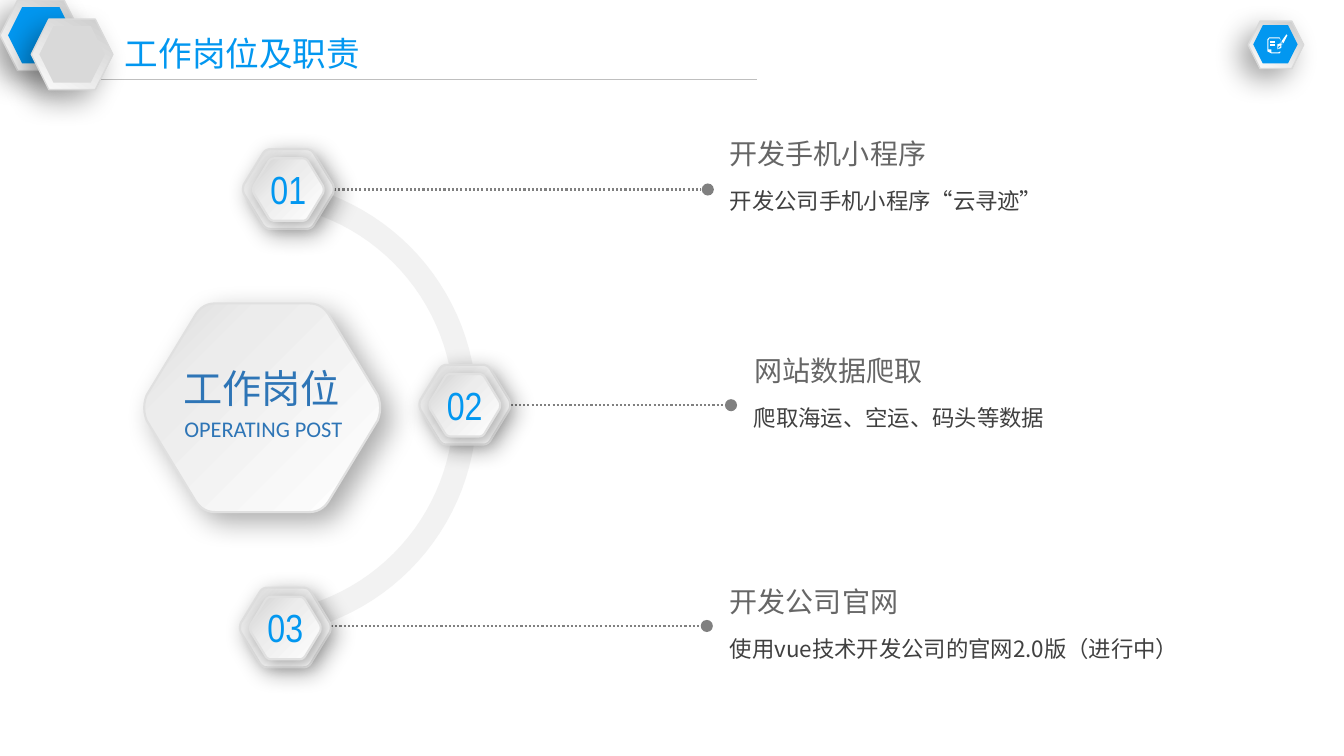
import math

import pptx
import pptx.dml.color
import pptx.enum.dml
import pptx.enum.shapes
import pptx.enum.text
import pptx.oxml
import pptx.oxml.ns
import pptx.util
from lxml import etree

PX = 9144  # EMU per px, 100 px to the inch
COLORS = {
    "blue": "0297F0", "deep_blue": "2E75B6", "white": "FFFFFF", "arc": "F2F2F2",
    "badge_edge": "E0E0E0", "frame_edge": "D9D9D9", "rule": "BFBFBF",
    "leader": "808080", "heading": "666666", "body": "404040", "black": "000000",
}
FRAME_STOPS = ((0, "CCCCCC"), (100, "FCFCFC"))
OUTER_STOPS = ((0, "FFFFFF"), (73, "ECECEC"), (100, "D9D9D9"))
INNER_STOPS = ((0, "FFFFFF"), (60, "ECECEC"), (100, "D1D1D1"))
CJK = "Noto Sans CJK SC"
PRESET = pptx.enum.shapes.MSO_SHAPE
ALIGN = pptx.enum.text.PP_ALIGN

# number, badge x, badge y, leader y, dot x, label x, label y, heading, body, body width
DUTIES = (
    ("01", 241, 148, 188, 696, 714, 131,
     "开发手机小程序", "开发公司手机小程序“云寻迹”", 527),
    ("02", 416, 362, 402, 719, 738, 346,
     "网站数据爬取", "爬取海运、空运、码头等数据", 503),
    ("03", 238, 583, 621, 695, 714, 575,
     "开发公司官网", "使用vue技术开发公司的官网2.0版（进行中）", 508),
)
NOTEPAD = (
    (1270, 51), (1268, 52), (1261, 52), (1261, 49), (1258, 49), (1258, 40),
    (1259, 38), (1269, 38), (1270, 40), (1270, 42), (1270, 39), (1269, 37),
    (1259, 37), (1257, 39), (1257, 51), (1261, 53), (1269, 53), (1270, 52),
)
PEN_PARTS = (
    ((1276, 34), (1271, 41), (1273, 43), (1277, 35)),
    ((1270, 42), (1271, 43), (1272, 43), (1271, 42)),
    ((1270, 43), (1267, 44), (1267, 49), (1268, 46), (1270, 45), (1270, 46),
     (1267, 49), (1270, 48), (1271, 47), (1271, 44), (1272, 44)),
)


def rgb(name):
    return pptx.dml.color.RGBColor.from_string(COLORS[name])


def emu(*lengths):
    return [pptx.util.Emu(round(length * PX)) for length in lengths]


def style(shape, fill=None, edge=None, edge_width=1):
    shape.shadow.inherit = False
    if fill:
        shape.fill.solid()
        shape.fill.fore_color.rgb = rgb(fill)
    if edge:
        shape.line.color.rgb = rgb(edge)
        shape.line.width = pptx.util.Pt(edge_width)
    else:
        shape.line.fill.background()
    return shape


def set_gradient(shape, stops, angle):
    shape.fill.gradient()
    gradient = shape.element.spPr.find(pptx.oxml.ns.qn("a:gradFill"))
    stop_xml = "".join(
        f'<a:gs pos="{position * 1000}"><a:srgbClr val="{color}"/></a:gs>'
        for position, color in stops)
    gradient.getparent().replace(gradient, pptx.oxml.parse_xml(
        f'<a:gradFill {pptx.oxml.ns.nsdecls("a")} rotWithShape="1">'
        f'<a:gsLst>{stop_xml}</a:gsLst>'
        f'<a:lin ang="{angle * 60000}" scaled="0"/></a:gradFill>'))


def set_shadow(shape, alpha, blur, distance, angle):
    effects = shape.element.spPr.find(pptx.oxml.ns.qn("a:effectLst"))
    effects.append(pptx.oxml.parse_xml(
        f'<a:outerShdw {pptx.oxml.ns.nsdecls("a")} blurRad="{blur * 12700}" '
        f'dist="{distance * 12700}" dir="{angle * 60000}" algn="ctr" rotWithShape="0">'
        f'<a:srgbClr val="{COLORS["black"]}"><a:alpha val="{alpha * 1000}"/>'
        f'</a:srgbClr></a:outerShdw>'))


def add_preset(slide, preset, box, fill=None, edge=None):
    return style(slide.shapes.add_shape(preset, *emu(*box)), fill, edge)


def add_outline(slide, points, fill=None, edge=None, edge_width=1):
    corners = [emu(*point) for point in points]
    builder = slide.shapes.build_freeform(*corners[0])
    builder.add_line_segments(corners[1:], close=True)
    return style(builder.convert_to_shape(), fill, edge, edge_width)


def add_line(slide, start, end, color, width, dash=None):
    line = slide.shapes.add_connector(
        pptx.enum.shapes.MSO_CONNECTOR.STRAIGHT, *emu(*start, *end))
    line.line.color.rgb = rgb(color)
    line.line.width = pptx.util.Pt(width)
    if dash:
        line.line.dash_style = dash
    etree.SubElement(line.element.spPr, pptx.oxml.ns.qn("a:effectLst"))


def add_text(slide, box, text, size, color, font=CJK, align=ALIGN.LEFT,
             wrap=True, spacing=None):
    label = slide.shapes.add_textbox(*emu(*box))
    frame = label.text_frame
    frame.word_wrap = wrap
    frame.auto_size = pptx.enum.text.MSO_AUTO_SIZE.SHAPE_TO_FIT_TEXT
    paragraph = frame.paragraphs[0]
    paragraph.text = text
    paragraph.alignment = align
    if spacing:
        paragraph.line_spacing = spacing
    paragraph.font.name = font
    paragraph.font.size = pptx.util.Pt(size)
    paragraph.font.color.rgb = rgb(color)
    for properties in label.element.iter(pptx.oxml.ns.qn("a:defRPr")):
        etree.SubElement(properties, pptx.oxml.ns.qn("a:ea"), typeface=font)


def rounded_hexagon_points(x, y, width, height, steps=6):
    """Trace the six corners as quadratic curves given as fractions of the box."""
    top = ((0.3, 0), (0.25, 0), (0.22, 0.05))
    side = ((0.01, 0.44), (-0.01, 0.5), (0.01, 0.56))
    left = [top, side, [(u, 1 - v) for u, v in reversed(top)]]
    right = [[(1 - u, 1 - v) for u, v in corner] for corner in left]
    points = []
    for start, control, end in left + right:
        for step in range(steps + 1):
            t = step / steps
            u, v = ((1 - t) ** 2 * a + 2 * t * (1 - t) * b + t ** 2 * c
                    for a, b, c in zip(start, control, end))
            points.append((x + u * width, y + v * height))
    return points


def add_rounded_hexagon(slide, box, stops, shadow):
    hexagon = add_outline(slide, rounded_hexagon_points(*box),
                          edge="badge_edge", edge_width=1.5)
    hexagon.rotation = 180
    set_gradient(hexagon, stops, 45)
    set_shadow(hexagon, *shadow)


def add_framed_hexagon(slide, frame_box, core_box, core_color):
    frame = add_preset(slide, PRESET.HEXAGON, frame_box, edge="frame_edge")
    set_gradient(frame, FRAME_STOPS, 120)
    set_shadow(frame, 34, 20, 10, 136)
    add_preset(slide, PRESET.HEXAGON, core_box, core_color)


def add_header(slide):
    add_line(slide, (81, 79), (751, 79), "rule", 1)
    add_framed_hexagon(slide, (0, 0, 81, 70), (8, 7, 65, 56), "blue")
    add_framed_hexagon(slide, (31, 19, 81, 70), (39, 26, 65, 56), "frame_edge")
    add_text(slide, (114, 28, 268, 50), "工作岗位及职责", 24, "blue")


def add_note_icon(slide):
    add_framed_hexagon(slide, (1238, 21, 55, 47), (1243, 25, 44, 38), "blue")
    for part in (*PEN_PARTS, NOTEPAD):
        add_outline(slide, part, "white")
    for y in (41, 42, 44, 45):
        add_line(slide, (1260, y), (1265, y), "white", 0.25)


def add_half_ring(slide, center_x, center_y, outer, inner):
    angles = [math.radians(degree) for degree in range(-90, 91, 3)]
    rim = [(radius, angle) for radius, sweep in ((outer, angles), (inner, angles[::-1]))
           for angle in sweep]
    add_outline(slide, [(center_x + radius * math.cos(angle),
                         center_y + radius * math.sin(angle))
                        for radius, angle in rim], "arc")


def add_duty(slide, number, x, y, leader_y, dot_x, label_x, label_y,
             heading, body, body_width):
    add_line(slide, (x + 82, leader_y), (dot_x - 1, leader_y), "leader", 1.5,
             pptx.enum.dml.MSO_LINE.ROUND_DOT)
    add_preset(slide, PRESET.OVAL, (dot_x, leader_y - 6, 12, 12), "leader")
    add_rounded_hexagon(slide, (x, y, 90, 79), OUTER_STOPS, (32, 16, 5, 45))
    add_rounded_hexagon(slide, (x + 10, y + 9, 70, 62), INNER_STOPS, (33, 12, 3, 45))
    add_text(slide, (x - 3, y + 11, 96, 57), number, 28, "blue",
             "Arial Narrow", ALIGN.CENTER)
    add_text(slide, (label_x, label_y, 28 * len(heading) + 20, 44), heading, 20,
             "heading", wrap=False)
    add_text(slide, (label_x, label_y + 42, body_width, 42), body, 16, "body",
             align=ALIGN.JUSTIFY, spacing=1.3)


def main():
    deck = pptx.Presentation()
    deck.slide_width, deck.slide_height = emu(1333, 750)
    slide = deck.slides.add_slide(deck.slide_layouts[6])
    add_header(slide)
    add_note_icon(slide)
    add_half_ring(slide, 246, 405, 227, 204)
    for duty in DUTIES:
        add_duty(slide, *duty)
    add_rounded_hexagon(slide, (143, 301, 234, 207), OUTER_STOPS, (32, 20, 9, 45))
    add_text(slide, (172, 357, 189, 57), "工作岗位", 28, "deep_blue", wrap=False)
    add_text(slide, (173, 407, 181, 37), "OPERATING POST", 16, "deep_blue", "Calibri")
    deck.save("out.pptx")


if __name__ == "__main__":
    main()
